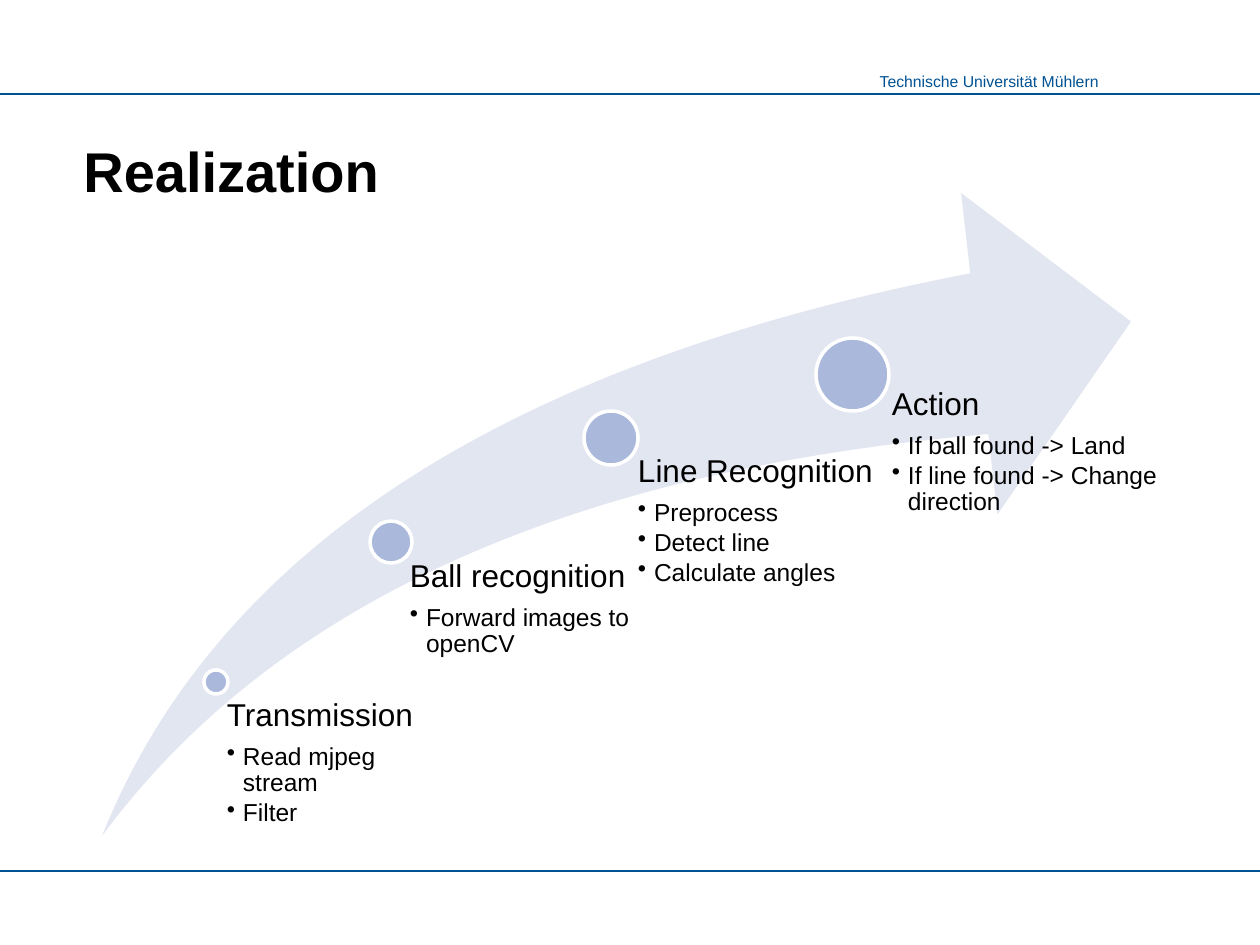
from pptx import Presentation
from pptx import util as u
from pptx.dml.color import RGBColor
from pptx.enum import shapes, text
from lxml import etree

SCALE = 914400 / 126
A = "{http://schemas.openxmlformats.org/drawingml/2006/main}"
STAGES = [
    ((204, 670, 24), (214, 699, 200, 136), 13, "Transmission",
     ["Read mjpeg stream", "Filter"]),
    ((370, 521, 42), (388, 560, 271, 246), 22, "Ball recognition",
     ["Forward images to openCV"]),
    ((584, 411, 54), (609, 455, 304, 232), 29, "Line Recognition",
     ["Preprocess", "Detect line", "Calculate angles"]),
    ((816, 338, 73), (853, 388, 358, 426), 39, "Action",
     ["If ball found -> Land", "If line found -> Change direction"]),
]


def px(n):
    return u.Emu(round(n * SCALE))


def color(value):
    return RGBColor.from_string(value)


def add_rule(s, y):
    line = s.shapes.add_connector(shapes.MSO_CONNECTOR.STRAIGHT, 0, px(y), px(1260), px(y))
    line.line.color.rgb = color("005293")
    line.line.width = u.Pt(0.75)
    etree.SubElement(line._element.spPr, A + "effectLst")


def add_preset(s, kind, box, fill, outline=None):
    sp = s.shapes.add_shape(kind, *map(px, box))
    sp.shadow.inherit = False
    sp.fill.solid()
    sp.fill.fore_color.rgb = color(fill)
    if outline:
        sp.line.color.rgb = color(outline)
        sp.line.width = u.Pt(2)
    else:
        sp.line.fill.background()
    return sp


def format_paragraph(p, size, rgb="000000", bold=False):
    for r in p.runs:
        r.font.name = "Arial"
        r.font.size = u.Pt(size)
        r.font.bold = bold
        r.font.color.rgb = color(rgb)


def add_text(s, box, content, wrap=True):
    tf = s.shapes.add_textbox(*map(px, box)).text_frame
    tf.word_wrap = wrap
    tf.text = content
    return tf


def add_bullet(p):
    pPr = p._p.get_or_add_pPr()
    pPr.set("marL", str(px(16)))
    pPr.set("indent", str(-px(16)))
    etree.SubElement(pPr, A + "buChar", char="•")


def add_stage(s, dot, box, inset, heading, points):
    left, top, size = dot
    add_preset(s, shapes.MSO_SHAPE.OVAL, (left, top, size, size), "AAB8DB", "FFFFFF")
    tf = add_text(s, box, "\n".join([heading] + points))
    tf.margin_left = px(inset)
    tf.margin_top = tf.margin_right = tf.margin_bottom = 0
    for i, p in enumerate(tf.paragraphs):
        p.line_spacing = 0.9
        p.space_after = u.Pt(2.1 if i else 6.3)
        format_paragraph(p, 14 if i else 18)
        if i:
            p.level = 1
            add_bullet(p)


def add_header(s):
    tf = add_text(s, (858, 66, 253, 32), "Technische Universität Mühlern", False)
    tf.paragraphs[0].alignment = text.PP_ALIGN.RIGHT
    format_paragraph(tf.paragraphs[0], 9, "005293")
    for y in (871, 94):
        add_rule(s, y)


def add_title(s):
    layout_title = add_text(s, (71, 126, 1120, 84), "Realization")
    layout_title.vertical_anchor = text.MSO_ANCHOR.BOTTOM
    format_paragraph(layout_title.paragraphs[0], 32, bold=True)


def main():
    prs = Presentation()
    prs.slide_width, prs.slide_height = px(1260), px(945)
    s = prs.slides.add_slide(prs.slide_layouts[6])
    add_header(s)
    add_title(s)
    arrow = add_preset(s, shapes.MSO_SHAPE.SWOOSH_ARROW, (102, 193, 1029, 643), "E2E6F1")
    arrow.adjustments[0] = arrow.adjustments[1] = 0.25
    for stage in STAGES:
        add_stage(s, *stage)
    prs.save("out.pptx")


main()
